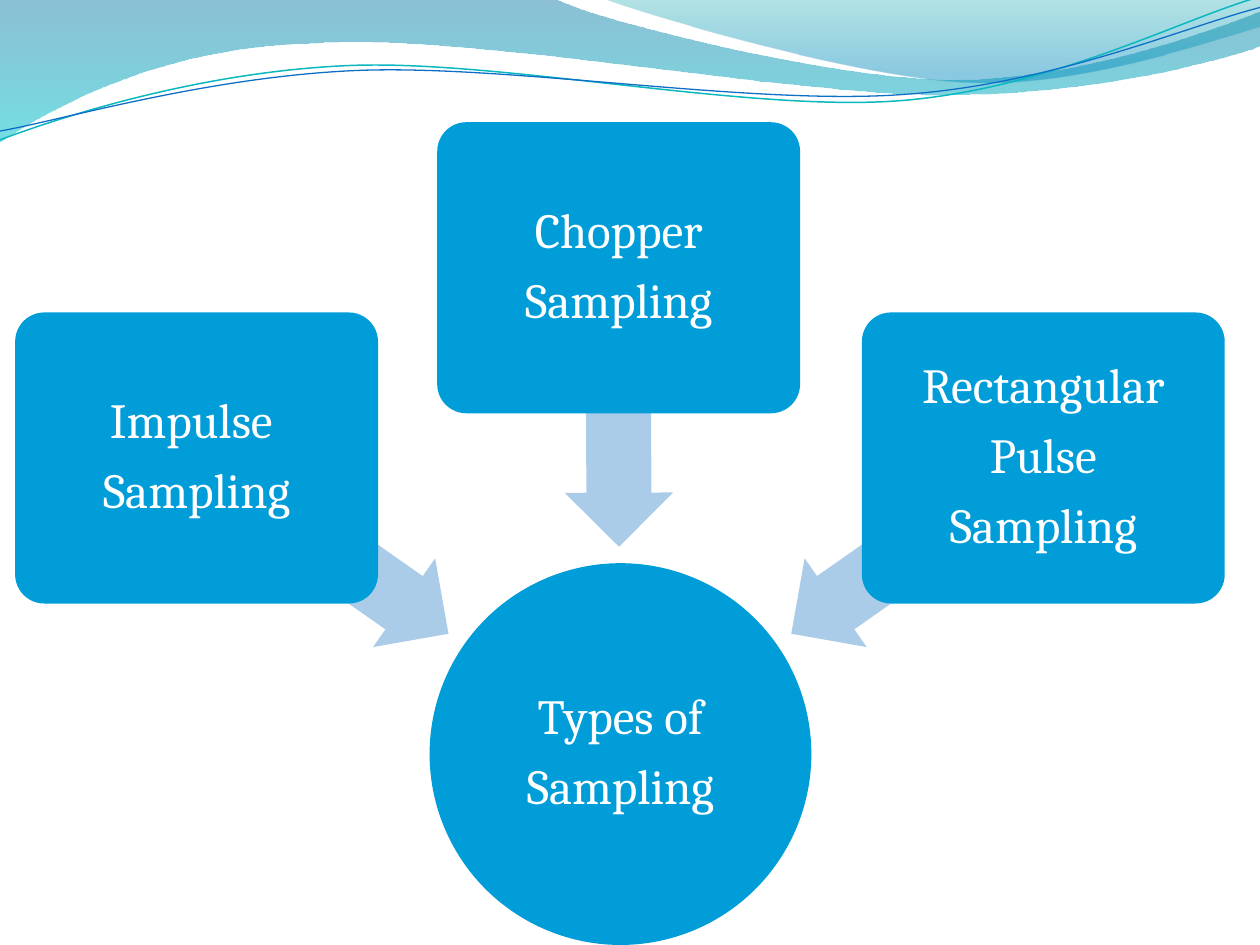
import math

from lxml import etree
from pptx import Presentation
from pptx import util as u
from pptx.dml.color import RGBColor
from pptx.enum import shapes, text
from pptx.oxml.ns import qn

THEME = {
    "font": "Cambria", "size": 28, "text": "FFFFFF",
    "node": "009DD9", "arrow": "ABCCE9",
}
HUB = {"lines": ["Types of", "Sampling"], "at": (3.41, 4.47, 3.03, 3.03)}
BOX_SIZE = (2.88, 2.31)
ARROW_HEIGHT = 0.86
BRANCHES = [
    {"lines": ["Impulse ", "Sampling"], "corner": (0.12, 2.48),
     "arrow": (1.34, 3.9, 2.44), "turn": 215},
    {"lines": ["Chopper", "Sampling"], "corner": (3.47, 0.97),
     "arrow": (3.8, 2.8, 2.22), "turn": 269.8},
    {"lines": ["Rectangular", "Pulse", "Sampling"], "corner": (6.84, 2.48),
     "arrow": (6.06, 3.9, 2.44), "turn": 325},
]
WAVES = [
    {"start": (0, 0),
     "steps": [(4.4, -0.01), (4.76, 0.17, 6.64, 0.63, 7.58, 0.63),
               (8.53, 0.63, 9.58, 0.26, 10, 0.09), (10.01, 0.36),
               (9.83, 0.44, 8.7, 0.76, 7.46, 0.75),
               (6.22, 0.75, 3.82, 0.28, 2.57, 0.34),
               (1.29, 0.36, 0.46, 0.83, -0.01, 1.13), (0, 0)],
     "stops": [(0, "0074A1", 45), (1, "00C6CF", 55)]},
    {"start": (4.79, -0.01),
     "steps": [(5.09, 0.11, 6.82, 0.62, 7.69, 0.65),
               (8.56, 0.69, 9.61, 0.32, 10, 0.21), (10, 0), (4.79, -0.01)],
     "stops": [(0, "00A1A9", 30), (0.8, "008BBF", 45)]},
    {"start": (0, 1.11),
     "steps": [(0.48, 0.93, 1.58, 0.57, 2.77, 0.52),
               (3.95, 0.47, 5.93, 0.89, 7.13, 0.8),
               (8.33, 0.71, 9.38, 0.15, 9.98, -0.02)],
     "line": ("0AB8BF", 0.85), "turn": 357.3, "center": (4.99, 0.57)},
    {"start": (0, 1.04),
     "steps": [(0.47, 0.96, 1.64, 0.61, 2.83, 0.56),
               (4.03, 0.51, 5.97, 0.84, 7.17, 0.75),
               (8.36, 0.67, 9.41, 0.21, 10, 0.06)],
     "line": ("0F6FC6", 0.75), "turn": 357.3, "center": (5, 0.59)},
]


def turn_back(point, center, degrees):
    angle = math.radians(-degrees)
    dx, dy = point[0] - center[0], point[1] - center[1]
    return (center[0] + dx * math.cos(angle) - dy * math.sin(angle),
            center[1] + dx * math.sin(angle) + dy * math.cos(angle))


def bend(shape, steps):
    segments = iter(list(shape.element.spPr.iter(qn("a:lnTo"))))
    for step in steps:
        first = next(segments)
        if len(step) == 6:
            first.tag = qn("a:cubicBezTo")
            for _ in range(2):
                extra = next(segments)
                first.append(extra[0])
                extra.getparent().remove(extra)


def add_wave(page, wave):
    turn, center = wave.get("turn", 0), wave.get("center", (0, 0))
    points = [wave["start"]]
    for step in wave["steps"]:
        points += zip(step[::2], step[1::2])
    points = [tuple(map(u.Inches, turn_back(point, center, turn))) for point in points]
    builder = page.shapes.build_freeform(*points[0])
    builder.add_line_segments(points[1:], close="stops" in wave)
    shape = builder.convert_to_shape()
    bend(shape, wave["steps"])
    shape.rotation = turn
    shape.shadow.inherit = False
    if "line" in wave:
        color, width = wave["line"]
        shape.fill.background()
        shape.line.color.rgb = RGBColor.from_string(color)
        shape.line.width = u.Pt(width)
        return
    shape.line.fill.background()
    shape.fill.gradient()
    shape.fill.gradient_angle = 270
    for stop, (position, color, _) in zip(shape.fill.gradient_stops, wave["stops"]):
        stop.position = position
        stop.color.rgb = RGBColor.from_string(color)
    colors = shape.element.spPr.iter(qn("a:srgbClr"))
    for color, (_, _, opacity) in zip(colors, wave["stops"]):
        etree.SubElement(color, qn("a:alpha")).set("val", str(opacity * 1000))


def add_solid(page, kind, at, color, adjustments=()):
    shape = page.shapes.add_shape(kind, *map(u.Inches, at))
    shape.shadow.inherit = False
    shape.fill.solid()
    shape.fill.fore_color.rgb = RGBColor.from_string(color)
    shape.line.fill.background()
    for index, value in enumerate(adjustments):
        shape.adjustments[index] = value
    return shape


def write(shape, lines, inset):
    frame = shape.text_frame
    frame.word_wrap = True
    frame.vertical_anchor = text.MSO_ANCHOR.MIDDLE
    frame.margin_left = frame.margin_right = u.Inches(inset)
    frame.margin_top = frame.margin_bottom = u.Inches(inset)
    frame.text = "\n".join(lines)
    for para in frame.paragraphs:
        para.alignment = text.PP_ALIGN.CENTER
        para.line_spacing = 0.9
        para.space_after = u.Pt(0.35 * THEME["size"])
        for span in para.runs:
            span.font.name = THEME["font"]
            span.font.size = u.Pt(THEME["size"])
            span.font.color.rgb = RGBColor.from_string(THEME["text"])


def main():
    deck = Presentation()
    deck.slide_width, deck.slide_height = u.Inches(10), u.Inches(7.5)
    page = deck.slides.add_slide(deck.slide_layouts[6])
    for wave in WAVES:
        add_wave(page, wave)
    hub = add_solid(page, shapes.MSO_SHAPE.OVAL, HUB["at"], THEME["node"])
    write(hub, HUB["lines"], 0.02)
    for branch in BRANCHES:
        arrow = add_solid(page, shapes.MSO_SHAPE.LEFT_ARROW,
                          (*branch["arrow"], ARROW_HEIGHT), THEME["arrow"], (0.6, 0.5))
        arrow.rotation = branch["turn"]
        box = add_solid(page, shapes.MSO_SHAPE.ROUNDED_RECTANGLE,
                        (*branch["corner"], *BOX_SIZE), THEME["node"], (0.1,))
        write(box, branch["lines"], 0.06)
    deck.save("out.pptx")


if __name__ == "__main__":
    main()
